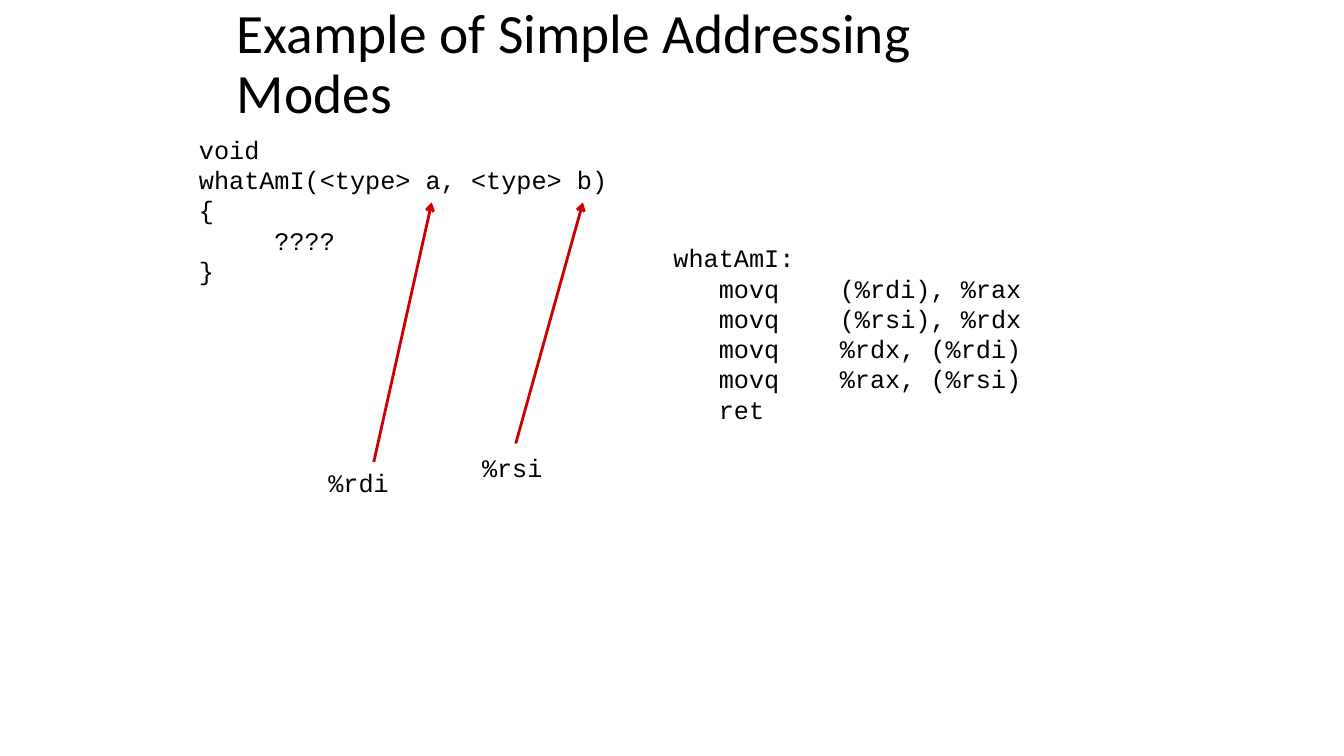
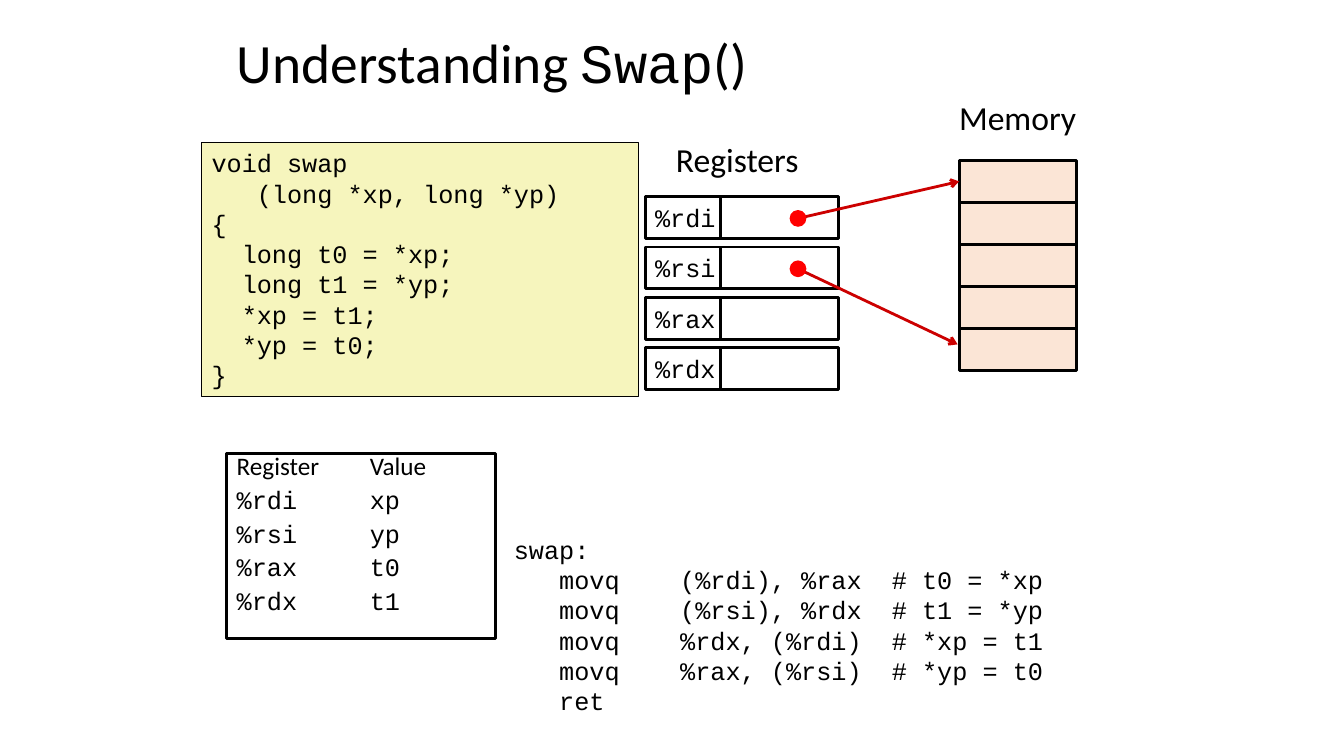
import pptx
import pptx.util
import pptx.dml.color
import pptx.enum.shapes
import pptx.enum.text
import pptx.oxml
import pptx.oxml.ns
import lxml.etree

CELL = pptx.util.Pt(6)
CHARACTER = pptx.util.Pt(10.8)
BLACK, WHITE, RED, ARROW = "000000", "FFFFFF", "FF0000", "CC0000"
YELLOW, PEACH = "F6F5BD", "FBE5D6"
SANS, MONO = "Calibri", "Courier New"
RECTANGLE = pptx.enum.shapes.MSO_SHAPE.RECTANGLE
OVAL = pptx.enum.shapes.MSO_SHAPE.OVAL
MIDDLE = pptx.enum.text.MSO_ANCHOR.MIDDLE
TOP = pptx.enum.text.MSO_ANCHOR.TOP
color = pptx.dml.color.RGBColor.from_string
qn = pptx.oxml.ns.qn


def add_box(slide, kind, position, fill=None, line_width=0):
    left, top, width, height = [round(value * CELL) for value in position]
    if kind is None:
        shape = slide.shapes.add_textbox(left, top, width, height)
    else:
        shape = slide.shapes.add_shape(kind, left, top, width, height)
        shape.shadow.inherit = False
    if fill:
        shape.fill.solid()
        shape.fill.fore_color.rgb = color(fill)
    else:
        shape.fill.background()
    if line_width:
        shape.line.color.rgb = color(BLACK)
        shape.line.width = pptx.util.Pt(line_width)
    else:
        shape.line.fill.background()
    return shape


def write(shape, lines, size=18, font=MONO, stops=(), wrap=True, anchor=TOP):
    frame = shape.text_frame
    frame.text = "\n".join(lines)
    frame.word_wrap = wrap
    frame.auto_size = pptx.enum.text.MSO_AUTO_SIZE.NONE
    frame.vertical_anchor = anchor
    for paragraph in frame.paragraphs:
        paragraph.alignment = pptx.enum.text.PP_ALIGN.LEFT
        if stops:
            properties = paragraph._p.get_or_add_pPr()
            tabs = lxml.etree.SubElement(properties, qn("a:tabLst"))
            for stop in stops:
                lxml.etree.SubElement(tabs, qn("a:tab"), pos=str(round(stop * CHARACTER)), algn="l")
        paragraph.font.name = font
        paragraph.font.size = pptx.util.Pt(size)
        paragraph.font.color.rgb = color(BLACK)
    return frame.paragraphs


presentation = pptx.Presentation()
presentation.slide_width = 160 * CELL
presentation.slide_height = 90 * CELL

slides = []
for title_text, title_columns in [("Example of Simple Addressing Modes", 100.5), ("Understanding ", 83.6)]:
    slide = presentation.slides.add_slide(presentation.slide_layouts[5])
    title = slide.shapes.title
    title.left, title.top = 27 * CELL, 4 * CELL
    title.width, title.height = round(title_columns * CELL), round(7.5 * CELL)
    heading = write(title, [title_text], 39.6, SANS, anchor=MIDDLE)[0]
    heading.line_spacing = 0.9
    slides.append(slide)
addressing, swap = slides

function_run = heading.add_run()
function_run.text = "Swap"
function_run.font.name = MONO
heading.add_run().text = "()"

instructions = [
    ("(%rdi), %rax", "t0 = *xp"),
    ("(%rsi), %rdx", "t1 = *yp"),
    ("%rdx, (%rdi)", "*xp = t1"),
    ("%rax, (%rsi)", "*yp = t0"),
]
plain_moves = [f"\tmovq\t{operands}" for operands, effect in instructions]
explained_moves = [f"\tmovq\t{operands}\t# {effect}" for operands, effect in instructions]

for slide, position, lines, stops in [
    (addressing, (79, 28.3, 55, 23), ["whatAmI:", *plain_moves, "\tret"], (3, 11)),
    (addressing, (22.5, 15.4, 53.3, 19.4),
     ["void", "whatAmI(<type> a, <type> b)", "{", "\t????", "}"], (5,)),
    (addressing, (37.9, 55.1, 15.7, 4.8), ["%rdi"], ()),
    (addressing, (56.2, 53.2, 15.7, 4.8), ["%rsi"], ()),
    (swap, (60, 63, 77, 23), ["swap:", *explained_moves, "\tret"], (3, 11, 25)),
]:
    write(add_box(slide, None, position), lines, stops=stops)

swap_code = add_box(swap, RECTANGLE, (24, 17, 52, 30.2), YELLOW, 1)
write(swap_code, [
    "void swap",
    "\t\t(long *xp, long *yp)",
    "{",
    "\tlong t0 = *xp;",
    "\tlong t1 = *yp;",
    "\t*xp = t1;",
    "\t*yp = t0;",
    "}",
], stops=(2, 3))

for label, position in [("Memory", (113, 10.9, 16.8, 6)), ("Registers", (79.3, 16, 17.8, 6))]:
    write(add_box(swap, None, position), [label], 24, SANS, wrap=False)

registers = [("%rdi", "xp"), ("%rsi", "yp"), ("%rax", "t0"), ("%rdx", "t1")]
for index, (register, variable) in enumerate(registers):
    row = 23.4 + 6 * index
    name_box = add_box(swap, RECTANGLE, (76.8, row, 9, 5), WHITE, 2)
    write(name_box, [register], wrap=False, anchor=MIDDLE)
    add_box(swap, RECTANGLE, (85.8, row, 14, 5), WHITE, 2)

value_list = add_box(swap, RECTANGLE, (27, 54, 32, 22), line_width=2)
value_lines = ["Register\tValue"] + ["\t".join(pair) for pair in registers]
value_paragraphs = write(value_list, value_lines, stops=(8.8,))
value_paragraphs[0].font.name = SANS
for paragraph in value_paragraphs:
    paragraph.line_spacing = 0.7
    paragraph.space_before = pptx.util.Pt(9)

memory = [add_box(swap, RECTANGLE, (114.2, 19.1 + 5 * index, 14, 5), PEACH, 2) for index in range(5)]

for slide, ends, target in [
    (addressing, (44.5, 55, 51.4, 24.1), None),
    (addressing, (61.4, 52.8, 69.4, 24.1), None),
    (swap, (95, 26, 114.2, 21.6), memory[0]),
    (swap, (95, 32, 114, 41), None),
]:
    arrow = slide.shapes.add_connector(
        pptx.enum.shapes.MSO_CONNECTOR.STRAIGHT, *[round(value * CELL) for value in ends])
    if target is not None:
        arrow.end_connect(target, 1)
    arrow.line.color.rgb = color(ARROW)
    arrow.line.width = pptx.util.Pt(2)
    lxml.etree.SubElement(arrow.line._get_or_add_ln(), qn("a:tailEnd"), type="arrow")
    lxml.etree.SubElement(arrow._element.spPr, qn("a:effectLst"))

for row in (25, 31):
    add_box(swap, OVAL, (94, row, 2, 2), RED)

presentation.save("out.pptx")
